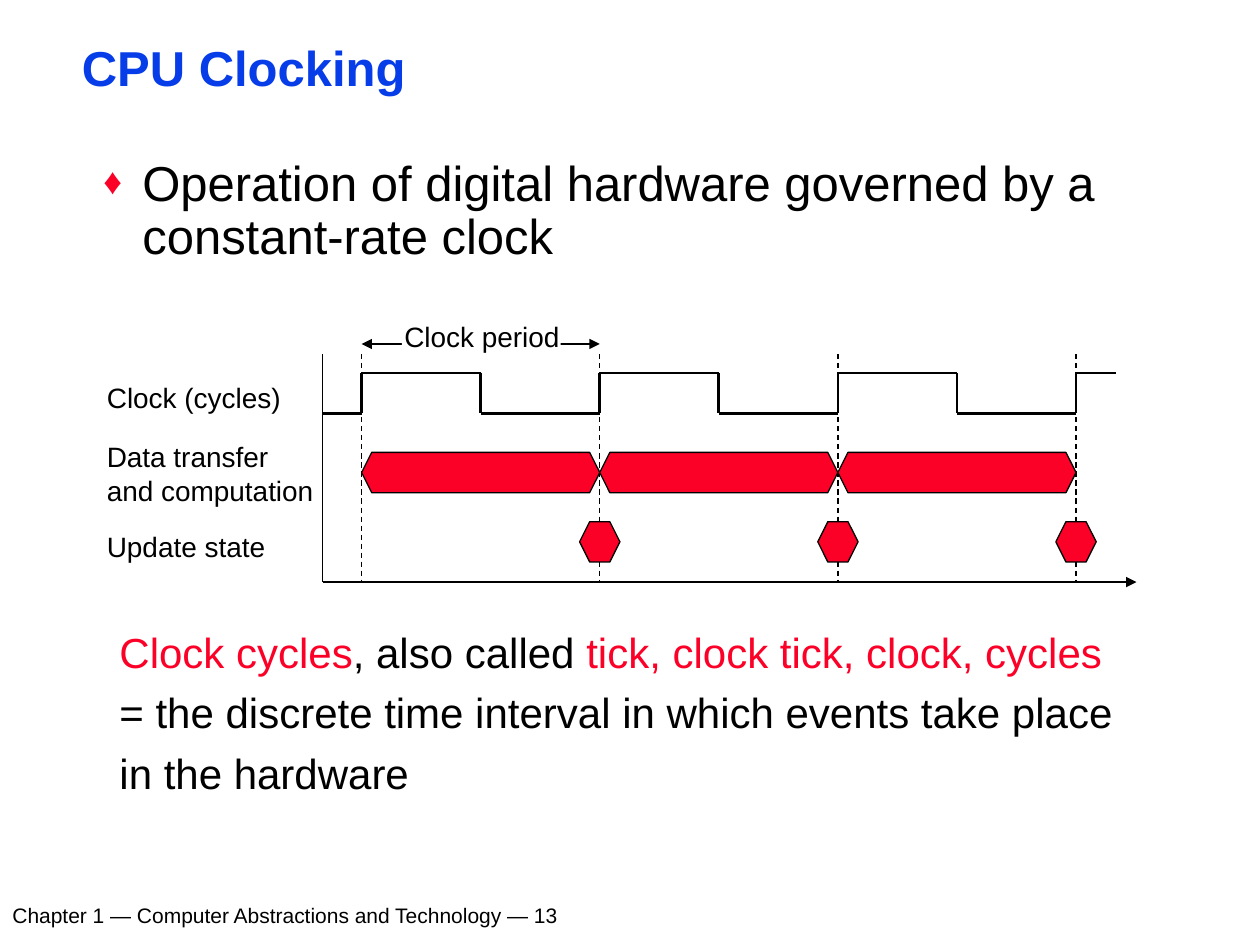
from lxml.etree import SubElement
from pptx import Presentation
from pptx.dml.color import RGBColor
from pptx.enum.dml import MSO_LINE
from pptx.enum.shapes import MSO_CONNECTOR, MSO_SHAPE
from pptx.enum.text import MSO_ANCHOR, MSO_AUTO_SIZE, PP_ALIGN
from pptx.oxml.ns import qn
from pptx.util import Inches, Pt

COLORS = {"black": "000000", "blue": "063DE8", "red": "FC0128", "white": "FFFFFF"}
PALETTE = {name: RGBColor.from_string(value) for name, value in COLORS.items()}

presentation = Presentation()
presentation.slide_width, presentation.slide_height = Inches(10), Inches(7.5)
slide = presentation.slides.add_slide(presentation.slide_layouts[1])
shapes = slide.shapes


def add_line(x1, y1, x2, y2, width=0.75, dash=None, arrows=()):
    line = shapes.add_connector(MSO_CONNECTOR.STRAIGHT, *map(Inches, (x1, y1, x2, y2)))
    line.line.color.rgb = PALETTE["black"]
    line.line.width = Pt(width)
    if dash:
        line.line.dash_style = dash
    for end in arrows:
        SubElement(line.line._get_or_add_ln(), qn(f"a:{end}"), type="triangle")
    SubElement(line._element.spPr, qn("a:effectLst"))


def write_text(shape, box, runs, size, spacing=1.0, inset=(0.1, 0.05),
               wrap=True, align=PP_ALIGN.LEFT, bold=False):
    shape.left, shape.top, shape.width, shape.height = map(Inches, box)
    frame = shape.text_frame
    frame_format = {
        "word_wrap": wrap, "auto_size": MSO_AUTO_SIZE.NONE,
        "vertical_anchor": MSO_ANCHOR.TOP,
        "margin_left": Inches(inset[0]), "margin_right": Inches(inset[0]),
        "margin_top": Inches(inset[1]), "margin_bottom": Inches(inset[1]),
    }
    for name, value in frame_format.items():
        setattr(frame, name, value)
    paragraph = frame.paragraphs[0]
    paragraph.alignment = align
    paragraph.line_spacing = spacing
    paragraph.space_before = Pt(0)
    for index, (text, color) in enumerate(runs):
        # Line breaks stay inside the paragraph
        for row, part in enumerate(text.split("\n")):
            if row:
                paragraph.add_line_break()
            run = paragraph.add_run()
            run.text = part
            font_format = {"name": "Arial", "size": Pt(size), "bold": bold}
            for name, value in font_format.items():
                setattr(run.font, name, value)
            run.font.color.rgb = PALETTE[color]
    return paragraph


# Title and bullet
write_text(shapes.title, (0.58, 0.33, 8.92, 0.46), [("CPU Clocking", "blue")],
           28, spacing=0.87, inset=(0.07, 0.03), bold=True)
bullet = write_text(
    slide.placeholders[1], (0.75, 1.23, 9.05, 1.34),
    [("Operation of digital hardware governed by a constant-rate clock", "black")],
    28, spacing=0.9, inset=(0.07, 0.03))
properties = bullet._p.get_or_add_pPr()
properties.set("marL", str(Inches(0.31)))
properties.set("indent", str(-Inches(0.31)))
bullet_color = SubElement(properties, qn("a:buClr"))
SubElement(bullet_color, qn("a:srgbClr"), val=COLORS["red"])
SubElement(properties, qn("a:buSzPct"), val="75000")
SubElement(properties, qn("a:buFont"), typeface="Arial")
SubElement(properties, qn("a:buChar"), char="♦")

# Timing grid: four rising edges, one period apart
PERIOD = 1.89
HIGH, LOW = 2.96, 3.28
AXIS_X, AXIS_TOP, AXIS_Y = 2.56, 2.81, 4.62
edges = [2.87 + PERIOD * i for i in range(4)]
for edge in edges:
    add_line(edge, AXIS_TOP, edge, AXIS_Y, dash=MSO_LINE.DASH)

# Clock period arrow with its label
add_line(edges[0], 2.73, edges[1], 2.73, arrows=("headEnd", "tailEnd"))
label_back = shapes.add_shape(MSO_SHAPE.RECTANGLE, *map(Inches, (3.19, 2.65, 1.26, 0.16)))
label_back.shadow.inherit = False
label_back.fill.solid()
label_back.fill.fore_color.rgb = PALETTE["white"]
label_back.line.fill.background()

# Clock wave
wave = [(AXIS_X, LOW)]
for edge in edges[:-1]:
    middle = edge + PERIOD / 2
    wave += [(edge, LOW), (edge, HIGH), (middle, HIGH), (middle, LOW)]
wave += [(edges[-1], LOW), (edges[-1], HIGH), (8.86, HIGH)]
for start, end in zip(wave, wave[1:]):
    add_line(*start, *end, width=1.5)

# Transfer bars fill the periods, update marks sit on the edges
hexagons = [(edge, 3.75, PERIOD) for edge in edges[:-1]]
hexagons += [(edge - 0.16, 4.3, 0.32) for edge in edges[1:]]
for left, middle, width in hexagons:
    right, top, bottom = left + width, middle - 0.16, middle + 0.16
    corners = [(left + 0.08, top), (right - 0.08, top), (right, middle),
               (right - 0.08, bottom), (left + 0.08, bottom)]
    builder = shapes.build_freeform(Inches(left), Inches(middle))
    builder.add_line_segments([(Inches(x), Inches(y)) for x, y in corners], close=True)
    hexagon = builder.convert_to_shape()
    hexagon.shadow.inherit = False
    hexagon.fill.solid()
    hexagon.fill.fore_color.rgb = PALETTE["red"]
    hexagon.line.color.rgb = PALETTE["black"]
    hexagon.line.width = Pt(0.75)

# Axes
add_line(AXIS_X, AXIS_Y, 9.02, AXIS_Y, arrows=("tailEnd",))
add_line(AXIS_X, AXIS_Y, AXIS_X, AXIS_TOP)

# Diagram labels
labels = [
    ("Clock (cycles)", (0.75, 2.97, 1.58, 0.37), PP_ALIGN.LEFT),
    ("Data transfer\nand computation", (0.75, 3.44, 1.84, 0.64), PP_ALIGN.LEFT),
    ("Update state", (0.75, 4.15, 1.46, 0.37), PP_ALIGN.LEFT),
    ("Clock period", (3.11, 2.49, 1.43, 0.37), PP_ALIGN.CENTER),
]
for text, box, align in labels:
    write_text(shapes.add_textbox(0, 0, 0, 0), box, [(text, "black")], 16,
               wrap=False, align=align)

# Definition and footer
definition = [
    ("Clock cycles", "red"),
    (", also called ", "black"),
    ("tick, clock tick, clock, cycles ", "red"),
    ("= the discrete time interval in which events take place in the hardware", "black"),
]
write_text(shapes.add_textbox(0, 0, 0, 0), (0.85, 4.84, 8.17, 1.56), definition,
           24, spacing=1.2)
write_text(shapes.add_textbox(0, 0, 0, 0), (0, 7.11, 7.95, 0.39),
           [("Chapter 1 — Computer Abstractions and Technology — 13", "black")], 12)

presentation.save("out.pptx")
